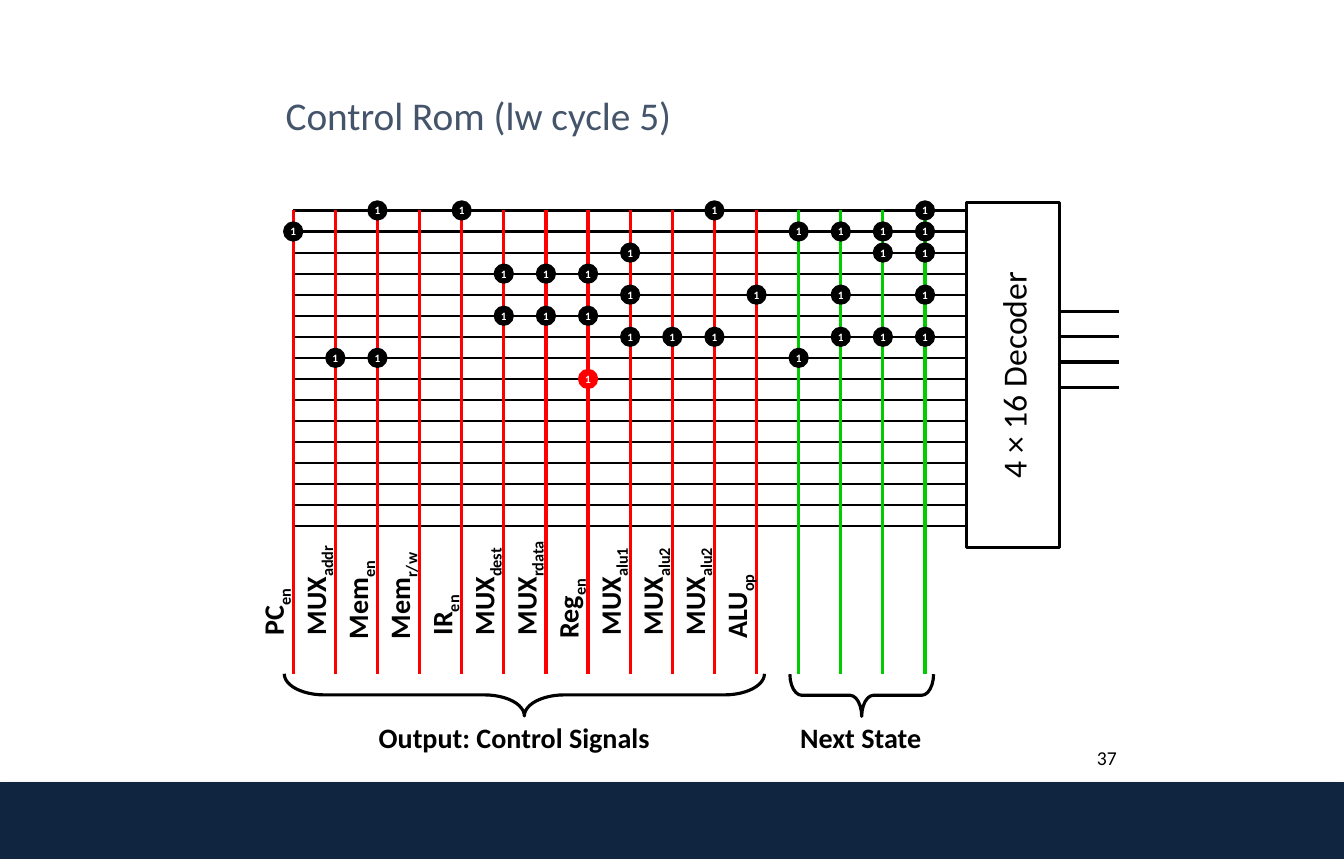
from dataclasses import dataclass

from lxml.etree import SubElement
from pptx import Presentation
from pptx.dml.color import RGBColor
from pptx.enum.shapes import MSO_CONNECTOR, MSO_SHAPE
from pptx.enum.text import MSO_ANCHOR, PP_ALIGN
from pptx.oxml.ns import qn
from pptx.shapes.autoshape import Shape
from pptx.slide import Slide
from pptx.util import Cm, Pt

FONT = "Calibri"
BLACK, WHITE, RED, GREEN = "000000", "FFFFFF", "FF0000", "00CC00"
NAVY, SLATE, GRAY = "10253F", "44546A", "808080"

GRID_LEFT, GRID_TOP = 7.37, 5.29
COLUMN_GAP, ROW_GAP = 15.88 / 15, 7.94 / 15
COLUMN_COUNT = ROW_COUNT = 16
COLUMN_BOTTOM = 16.93
DECODER_LEFT, DECODER_RIGHT = 24.3, 26.63
DOT_SIZE = 0.43
LABEL_HEIGHT, LABEL_OFFSET = 1.11, 0.51


@dataclass(frozen=True)
class Frame:
    left: float
    top: float
    width: float
    height: float


@dataclass(frozen=True)
class Signal:
    name: str
    subscript: str
    length: float
    bottom: float = 16.22


@dataclass(frozen=True)
class Caption:
    text: str
    frame: Frame
    size: int
    color: str = BLACK
    bold: bool = False
    wrap: bool = False
    align: PP_ALIGN = PP_ALIGN.LEFT
    anchor: MSO_ANCHOR = MSO_ANCHOR.TOP
    spacing: float = 1.0


@dataclass(frozen=True)
class Brace:
    frame: Frame
    curve: float


SIGNALS = [
    Signal("PC", "en", 1.75),
    Signal("MUX", "addr", 2.97),
    Signal("Mem", "en", 2.57, 16.32),
    Signal("Mem", "r/w", 2.79, 16.32),
    Signal("IR", "en", 1.57),
    Signal("MUX", "dest", 2.82),
    Signal("MUX", "rdata", 3.1),
    Signal("Reg", "en", 2.16, 16.3),
    Signal("MUX", "alu1", 2.87),
    Signal("MUX", "alu2", 2.87),
    Signal("MUX", "alu2", 2.87),
    Signal("ALU", "op", 2.49, 16.3),
]

ROM_ROWS = [
    (2, 4, 10, 15),
    (0, 12, 13, 14, 15),
    (8, 14, 15),
    (5, 6, 7),
    (8, 11, 13, 15),
    (5, 6, 7),
    (8, 9, 10, 13, 14, 15),
    (1, 2, 12),
    (7,),
]
ACTIVE_ROW = 8

CAPTIONS = [
    Caption("37", Frame(22.4, 18.62, 5.92, 1.32), 14, wrap=True, align=PP_ALIGN.RIGHT),
    Caption("Control Rom (lw cycle 5)", Frame(6.93, 0.43, 21.16, 3.18), 28, SLATE,
            wrap=True, anchor=MSO_ANCHOR.BOTTOM, spacing=0.9),
    Caption("Output: Control Signals", Frame(9.27, 17.98, 7.37, 1.11), 20, bold=True),
    Caption("Next State", Frame(19.86, 17.98, 3.63, 1.11), 20, bold=True),
]

BRACES = [
    Brace(Frame(12.65, 11.43, 1.06, 12.07), 0.95),
    Brace(Frame(21.13, 15.67, 1.06, 3.61), 0.28),
]


def rgb(color: str) -> RGBColor:
    return RGBColor.from_string(color)


def column_x(column: int) -> float:
    return GRID_LEFT + column * COLUMN_GAP


def row_y(row: int) -> float:
    return GRID_TOP + row * ROW_GAP


def style_text(box: Shape, size: int, color: str, bold: bool, align: PP_ALIGN) -> None:
    for para in box.text_frame.paragraphs:
        para.alignment = align
        for span in para.runs:
            span.font.name = FONT
            span.font.size = Pt(size)
            span.font.bold = bold
            span.font.color.rgb = rgb(color)


def add_figure(page: Slide, kind: MSO_SHAPE, frame: Frame,
               fill: str | None, line: str | None) -> Shape:
    figure = page.shapes.add_shape(
        kind, Cm(frame.left), Cm(frame.top), Cm(frame.width), Cm(frame.height))
    figure.shadow.inherit = False
    if fill:
        figure.fill.solid()
        figure.fill.fore_color.rgb = rgb(fill)
    else:
        figure.fill.background()
    if line:
        figure.line.color.rgb = rgb(line)
        figure.line.width = Pt(2.25)
    else:
        figure.line.fill.background()
    return figure


def add_wire(page: Slide, x1: float, y1: float, x2: float, y2: float,
             color: str, width: float) -> None:
    wire = page.shapes.add_connector(
        MSO_CONNECTOR.STRAIGHT, Cm(x1), Cm(y1), Cm(x2), Cm(y2))
    wire.line.color.rgb = rgb(color)
    wire.line.width = Pt(width)
    SubElement(wire._element.spPr, qn("a:effectLst"))


def add_caption(page: Slide, caption: Caption) -> Shape:
    frame = caption.frame
    box = page.shapes.add_textbox(
        Cm(frame.left), Cm(frame.top), Cm(frame.width), Cm(frame.height))
    box.text_frame.text = caption.text
    box.text_frame.word_wrap = caption.wrap
    box.text_frame.vertical_anchor = caption.anchor
    box.text_frame.paragraphs[0].line_spacing = caption.spacing
    style_text(box, caption.size, caption.color, caption.bold, caption.align)
    return box


def add_signal(page: Slide, column: int, signal: Signal) -> None:
    center_x = column_x(column) - LABEL_OFFSET
    center_y = signal.bottom - signal.length / 2
    frame = Frame(center_x - signal.length / 2, center_y - LABEL_HEIGHT / 2,
                  signal.length, LABEL_HEIGHT)
    box = add_caption(page, Caption(signal.name, frame, 20, bold=True))
    box.rotation = 270
    span = box.text_frame.paragraphs[0].add_run()
    span.text = signal.subscript
    style_text(box, 20, BLACK, True, PP_ALIGN.LEFT)
    span.font._element.set("baseline", "-25000")


def add_dot(page: Slide, column: int, row: int) -> None:
    color = RED if row == ACTIVE_ROW else BLACK
    frame = Frame(column_x(column) - DOT_SIZE / 2, row_y(row) - DOT_SIZE / 2,
                  DOT_SIZE, DOT_SIZE)
    dot = add_figure(page, MSO_SHAPE.OVAL, frame, color, color)
    dot.text_frame.text = "1"
    dot.text_frame.word_wrap = False
    dot.text_frame.vertical_anchor = MSO_ANCHOR.MIDDLE
    style_text(dot, 8, WHITE, True, PP_ALIGN.CENTER)


def add_footer(page: Slide) -> None:
    footer = add_figure(page, MSO_SHAPE.RECTANGLE, Frame(0, 19.66, 33.78, 1.93), NAVY, None)
    effects = footer._element.spPr.find(qn("a:effectLst"))
    shadow = SubElement(effects, qn("a:outerShdw"), blurRad=str(Pt(3.1)),
                        dist=str(Pt(1.8)), dir="5400000", rotWithShape="0")
    tint = SubElement(shadow, qn("a:srgbClr"), val=GRAY)
    SubElement(tint, qn("a:alpha"), val="35000")


def add_decoder(page: Slide) -> None:
    decoder = add_figure(page, MSO_SHAPE.RECTANGLE, Frame(21.12, 8.26, 8.69, 2.33), None, BLACK)
    decoder.rotation = 270
    decoder.text_frame.text = "4 × 16 Decoder"
    decoder.text_frame.vertical_anchor = MSO_ANCHOR.MIDDLE
    style_text(decoder, 24, BLACK, False, PP_ALIGN.CENTER)
    for address_bit in range(4):
        y = 7.82 + address_bit * 0.64
        add_wire(page, DECODER_RIGHT, y, 28.12, y, BLACK, 2.25)


def main() -> None:
    deck = Presentation()
    deck.slide_width, deck.slide_height = Cm(33.78), Cm(21.59)
    page = deck.slides.add_slide(deck.slide_layouts[6])
    add_footer(page)
    for caption in CAPTIONS:
        add_caption(page, caption)
    add_decoder(page)
    for row in range(ROW_COUNT):
        add_wire(page, DECODER_LEFT, row_y(row), GRID_LEFT, row_y(row), BLACK, 1.5)
    for column in range(COLUMN_COUNT):
        color = RED if column < len(SIGNALS) else GREEN
        x = column_x(column)
        add_wire(page, x, GRID_TOP, x, COLUMN_BOTTOM, color, 2.25)
    for brace in BRACES:
        figure = add_figure(page, MSO_SHAPE.LEFT_BRACE, brace.frame, None, BLACK)
        figure.rotation = 270
        figure.adjustments[0] = brace.curve
    for column, signal in enumerate(SIGNALS):
        add_signal(page, column, signal)
    for row, columns in enumerate(ROM_ROWS):
        for column in columns:
            add_dot(page, column, row)
    deck.save("out.pptx")


if __name__ == "__main__":
    main()
